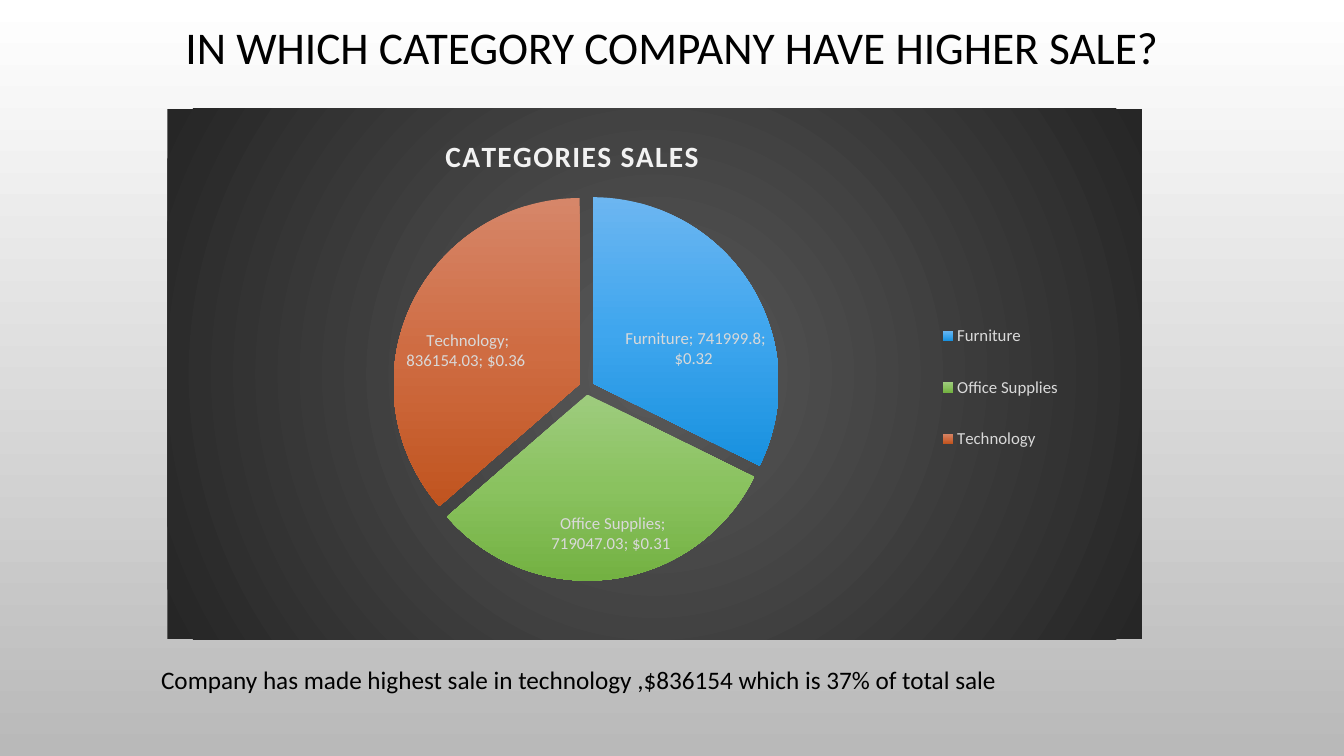
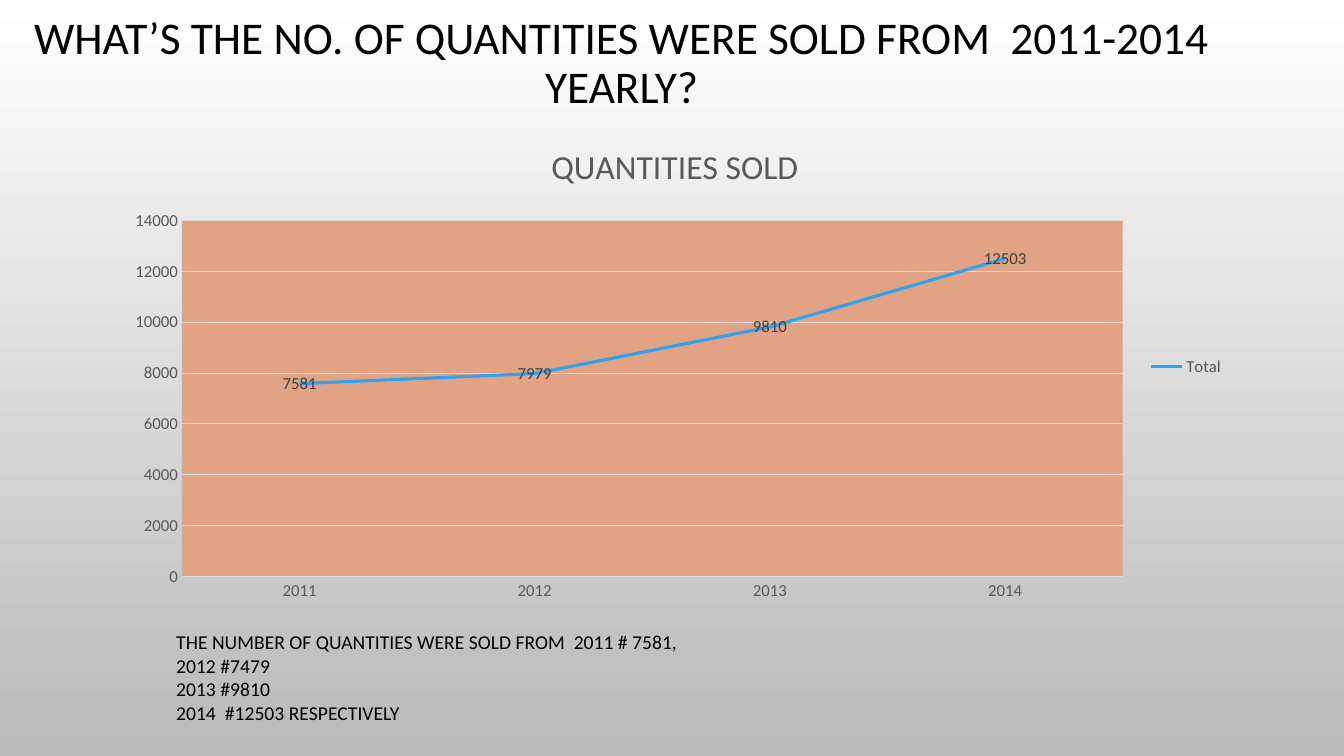
from dataclasses import dataclass
from typing import Any, NamedTuple, Optional

from pptx import Presentation
from pptx.chart.chart import Chart
from pptx.chart.data import CategoryChartData
from pptx.dml.color import RGBColor
from pptx.enum.chart import (XL_CHART_TYPE, XL_LABEL_POSITION,
                             XL_LEGEND_POSITION, XL_TICK_MARK)
from pptx.enum.text import MSO_ANCHOR, PP_ALIGN
from pptx.oxml import parse_xml
from pptx.oxml.ns import nsdecls, qn
from pptx.slide import Slide
from pptx.util import Pt


# Theme
@dataclass(frozen=True)
class Theme:
    face: str = "Calibri"
    ink: str = "000000"
    gray: str = "595959"
    dark: str = "404040"
    rule: str = "D9D9D9"
    pale: str = "F2F2F2"
    line: str = "2FA3EE"
    plot: str = "E2A385"
    back: tuple = ("FFFFFF", "B9B9B9")
    panel: tuple = ("595959", "262626")
    head: float = 32.4
    small: float = 12


T = Theme()
DOWN = '<a:lin ang="5400000" scaled="0"/>'
ROUND = ('<a:path path="circle"><a:fillToRect l="50000" t="50000" '
         'r="50000" b="50000"/></a:path>')


class Box(NamedTuple):
    x: float
    y: float
    w: float = 0
    h: float = 0

    def pts(self) -> list:
        return [Pt(v) for v in self]


class Slice(NamedTuple):
    name: str
    value: float
    shades: tuple


class Row(NamedTuple):
    text: str
    start: Optional[int] = None


SALES = (
    Slice("Furniture", 741999.80, ("6CB6F1", "3FA6EE", "1891DF")),
    Slice("Office Supplies", 719047.03, ("9ECC7E", "8AC25F", "73B142")),
    Slice("Technology", 836154.03, ("D68669", "CF6C42", "C0541F")),
)
SOLD = {"2011": 7581, "2012": 7979, "2013": 9810, "2014": 12503}


# Fonts and fills
def style(font: Any, size: float, color: str, bold: bool = False) -> None:
    font.name, font.size, font.bold = T.face, Pt(size), bold
    font.color.rgb = RGBColor.from_string(color)


def blend(shades: tuple, way: str = DOWN) -> Any:
    step = 100000 // (len(shades) - 1)
    stops = "".join(f'<a:gs pos="{i * step}"><a:srgbClr val="{c}"/></a:gs>'
                    for i, c in enumerate(shades))
    return parse_xml(f'<a:gradFill {nsdecls("a")} rotWithShape="1">'
                     f'<a:gsLst>{stops}</a:gsLst>{way}</a:gradFill>')


def swap(host: Any, shades: tuple) -> None:
    solid = next(host.iter(qn("a:solidFill")))
    solid.getparent().replace(solid, blend(shades))


def area(fill: Any) -> Any:
    props = parse_xml(f'<c:spPr {nsdecls("c", "a")}><a:ln><a:noFill/></a:ln></c:spPr>')
    props.insert(0, fill)
    return props


# Slide parts
def page(deck: Any, title: str, box: Box) -> Slide:
    slide = deck.slides.add_slide(deck.slide_layouts[6])
    slide.background.fill.solid()
    slide.background.fill.fore_color.rgb = RGBColor.from_string(T.back[0])
    swap(slide.element, T.back)
    frame = slide.shapes.add_textbox(*box.pts()).text_frame
    frame.word_wrap, frame.vertical_anchor = True, MSO_ANCHOR.MIDDLE
    para = frame.paragraphs[0]
    para.text, para.alignment, para.line_spacing = title, PP_ALIGN.CENTER, 0.9
    style(para.font, T.head, T.ink)
    return slide


def note(slide: Slide, box: Box, size: float, rows: list[Row]) -> None:
    frame = slide.shapes.add_textbox(*box.pts()).text_frame
    frame.word_wrap = True
    for i, row in enumerate(rows):
        para = frame.add_paragraph() if i else frame.paragraphs[0]
        para.text = row.text
        style(para.font, size, T.ink)
        if row.start:
            props = para._p.get_or_add_pPr()
            props.set("marL", str(Pt(27)))
            props.set("indent", str(-Pt(27)))
            props.insert(0, parse_xml(
                f'<a:buAutoNum {nsdecls("a")} type="arabicPlain" startAt="{row.start}"/>'))


# Chart parts
def place(host: Any, box: Box, prior: str = "", inner: bool = False) -> None:
    for old in host.findall(qn("c:layout")):
        host.remove(old)
    aim = '<c:layoutTarget val="inner"/>' if inner else ""
    modes = "".join(f'<c:{k}Mode val="edge"/>' for k in "xy")
    sizes = "".join(f'<c:{k} val="{v}"/>' for k, v in zip("xywh", box) if v)
    node = parse_xml(f'<c:layout {nsdecls("c")}><c:manualLayout>{aim}{modes}{sizes}'
                     '</c:manualLayout></c:layout>')
    if prior:
        host.find(qn(prior)).addnext(node)
    else:
        host.insert(0, node)


def graph(slide: Slide, kind: Any, box: Box, name: str, data: dict,
          title: str, plot: Box, color: str) -> Chart:
    feed = CategoryChartData()
    feed.categories = list(data)
    feed.add_series(name, list(data.values()))
    chart = slide.shapes.add_chart(kind, *box.pts(), feed).chart
    style(chart.font, T.small, color)
    chart.has_title = True
    chart.chart_title.text_frame.text = title
    chart.chart_title.include_in_layout = False
    chart.has_legend = True
    chart.legend.position = XL_LEGEND_POSITION.RIGHT
    chart.legend.include_in_layout = False
    style(chart.legend.font, T.small, color)
    chart.plots[0].vary_by_categories = kind == XL_CHART_TYPE.PIE
    place(next(chart.element.iter(qn("c:plotArea"))), plot, inner=True)
    return chart


def label(chart: Chart, color: str, spot: Any) -> Any:
    chart.plots[0].has_data_labels = True
    tags = chart.plots[0].data_labels
    style(tags.font, T.small, color)
    tags.show_value, tags.position = True, spot
    return tags


# Sales by category
def sales(deck: Any) -> None:
    slide = page(deck, "IN WHICH CATEGORY COMPANY HAVE HIGHER SALE?",
                 Box(72, 7, 816, 57))
    chart = graph(slide, XL_CHART_TYPE.PIE, Box(119.5, 77.8, 696.2, 378.7),
                  "Series 1", {s.name: s.value for s in SALES},
                  "CATEGORIES SALES", Box(0.23, 0.16, 0.4, 0.73), T.rule)
    root = chart.element
    root.find(qn("c:chart")).addnext(area(blend(T.panel, ROUND)))

    head = chart.chart_title.text_frame.paragraphs[0]
    style(head.font, 21, T.pale, True)
    head._p.pPr.find(qn("a:defRPr")).set("spc", "100")
    place(next(root.iter(qn("c:title"))), Box(0.28, 0.04), "c:tx")
    place(next(root.iter(qn("c:legend"))), Box(0.78, 0.35, 0.15, 0.35), "c:legendPos")

    for i, part in enumerate(SALES):
        fill = chart.series[0].points[i].format.fill
        fill.solid()
        fill.fore_color.rgb = RGBColor.from_string(part.shades[0])
    for node, part in zip(root.iter(qn("c:dPt")), SALES):
        swap(node, part.shades)
    next(root.iter(qn("c:ser"))).find(qn("c:tx")).addnext(
        parse_xml(f'<c:explosion {nsdecls("c")} val="4"/>'))

    tags = label(chart, T.rule, XL_LABEL_POSITION.BEST_FIT)
    tags.show_category_name = tags.show_percentage = True
    tags.number_format, tags.number_format_is_linked = "[$$-409]#,##0.00_ ", False
    note(slide, Box(108, 471, 648, 29), 18, [Row(
        "Company has made highest sale in technology ,$836154 which is 37% of total sale")])


# Quantities by year
def sold(deck: Any) -> None:
    slide = page(deck, "WHAT’S THE NO. OF QUANTITIES WERE SOLD FROM  2011-2014 YEARLY?",
                 Box(0, 15, 888, 62))
    chart = graph(slide, XL_CHART_TYPE.LINE, Box(82, 87.8, 800, 348.5), "Total", SOLD,
                  "QUANTITIES SOLD", Box(0.06, 0.2, 0.84, 0.73), T.gray)
    style(chart.chart_title.text_frame.paragraphs[0].font, 24, T.gray)
    solid = parse_xml(f'<a:solidFill {nsdecls("a")}><a:srgbClr val="{T.plot}"/></a:solidFill>')
    next(chart.element.iter(qn("c:plotArea"))).append(area(solid))

    years, scale = chart.category_axis, chart.value_axis
    for axis in (years, scale):
        axis.major_tick_mark = axis.minor_tick_mark = XL_TICK_MARK.NONE
        style(axis.tick_labels.font, T.small, T.gray)
    scale.minimum_scale, scale.maximum_scale, scale.major_unit = 0, 14000, 2000
    scale.has_major_gridlines = True
    scale.format.line.fill.background()

    total = chart.series[0]
    total.smooth = False
    for line, color, width in ((years.format.line, T.rule, 0.75),
                               (scale.major_gridlines.format.line, T.rule, 0.75),
                               (total.format.line, T.line, 2.25)):
        line.color.rgb, line.width = RGBColor.from_string(color), Pt(width)
    label(chart, T.dark, XL_LABEL_POSITION.CENTER)
    note(slide, Box(118.8, 446.4, 652, 75), 14, [
        Row("THE NUMBER OF QUANTITIES WERE SOLD FROM  2011 # 7581,"),
        Row(" #7479", 2012), Row(" #9810", 2012), Row("  #12503 RESPECTIVELY", 2012)])


def main() -> None:
    deck = Presentation()
    deck.slide_width, deck.slide_height = Pt(960), Pt(540)
    sales(deck)
    sold(deck)
    deck.save("out.pptx")


if __name__ == "__main__":
    main()
